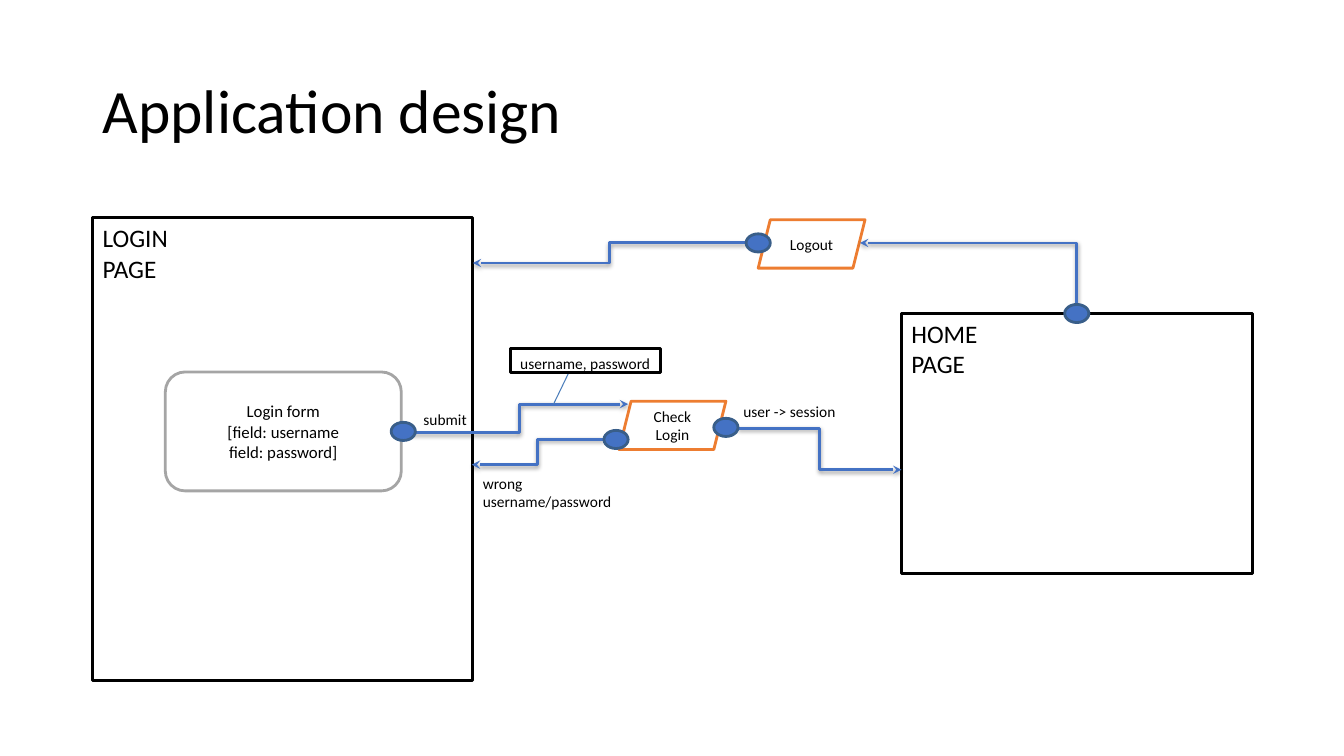
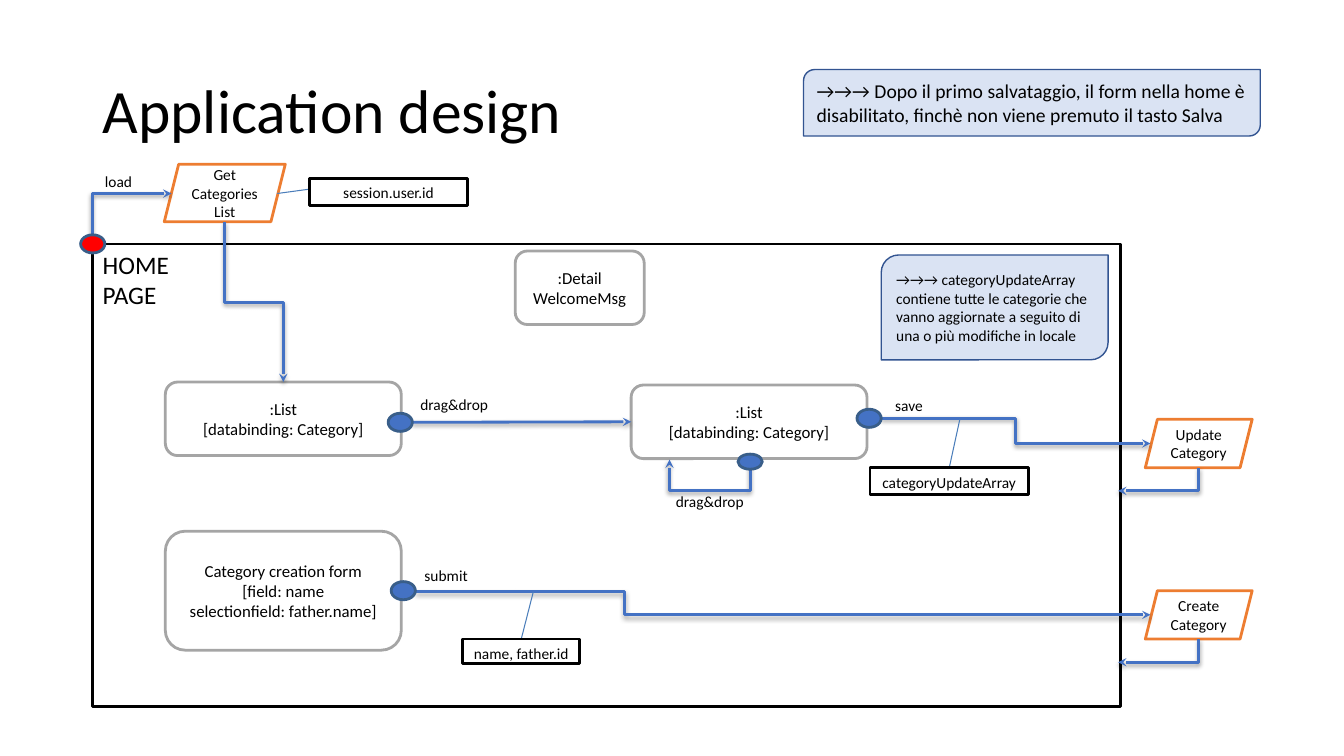
from dataclasses import dataclass

from lxml import etree
from pptx import Presentation
from pptx.dml.color import RGBColor
from pptx.enum.shapes import MSO_CONNECTOR, MSO_SHAPE
from pptx.enum.text import MSO_ANCHOR, PP_ALIGN
from pptx.oxml.ns import qn
from pptx.util import Inches, Pt

RECTANGLE = MSO_SHAPE.RECTANGLE
ROUNDED = MSO_SHAPE.ROUNDED_RECTANGLE
PARALLELOGRAM = MSO_SHAPE.PARALLELOGRAM
DIAGONAL = MSO_SHAPE.ROUND_2_DIAG_RECTANGLE
ELLIPSE = MSO_SHAPE.OVAL
STRAIGHT = MSO_CONNECTOR.STRAIGHT
ELBOW = MSO_CONNECTOR.ELBOW
TOP = MSO_ANCHOR.TOP
MIDDLE = MSO_ANCHOR.MIDDLE
LEFT = PP_ALIGN.LEFT
CENTER = PP_ALIGN.CENTER
TOP_SIDE = 0
LEFT_SIDE = 1


@dataclass(frozen=True)
class Theme:
    font: str = "Calibri"
    ink: str = "000000"
    paper: str = "FFFFFF"
    flow: str = "4472C4"
    dot_line: str = "395E89"
    start: str = "FF0000"
    component: str = "A5A5A5"
    action: str = "ED7D31"
    leader: str = "4A7DBA"
    remark: str = "DAE3F3"
    remark_line: str = "325491"
    title_size: float = 44
    page_size: float = 18
    remark_size: float = 14
    component_size: float = 12
    label_size: float = 11
    stroke: float = 2
    remark_stroke: float = 1
    leader_stroke: float = 0.75


def lengths(values):
    return [Inches(value) for value in values]


class Diagram:
    def __init__(self, theme):
        self.theme = theme
        self.deck = Presentation()
        self.deck.slide_width, self.deck.slide_height = lengths((13.33, 7.5))
        self.page = None

    def new_page(self, title):
        self.page = self.deck.slides.add_slide(self.deck.slide_layouts[6])
        box = self.text([title], (0.92, 0.4, 11.5, 1.45), LEFT,
                        self.theme.title_size, MIDDLE)
        box.text_frame.paragraphs[0].line_spacing = 0.9

    def add_lines(self, box, lines, size, align, anchor):
        frame = box.text_frame
        frame.word_wrap = True
        frame.vertical_anchor = anchor
        for index, line in enumerate(lines):
            para = frame.add_paragraph() if index else frame.paragraphs[0]
            para.alignment = align
            span = para.add_run()
            span.text = line
            span.font.name = self.theme.font
            span.font.size = Pt(size)
            span.font.color.rgb = RGBColor.from_string(self.theme.ink)

    def text(self, lines, at, align=CENTER, size=None, anchor=TOP):
        box = self.page.shapes.add_textbox(*lengths(at))
        self.add_lines(box, lines, size or self.theme.label_size, align, anchor)
        return box

    def stroke(self, item, color, width):
        item.line.color.rgb = RGBColor.from_string(color)
        item.line.width = Pt(width)

    def shape(self, kind, at, fill, line, width=None):
        box = self.page.shapes.add_shape(kind, *lengths(at))
        box.shadow.inherit = False
        box.fill.solid()
        box.fill.fore_color.rgb = RGBColor.from_string(fill)
        self.stroke(box, line, width or self.theme.stroke)
        return box

    def screen(self, name, at):
        box = self.shape(RECTANGLE, at, self.theme.paper, self.theme.ink)
        self.add_lines(box, [name, "PAGE"], self.theme.page_size, LEFT, TOP)

    def component(self, lines, at):
        box = self.shape(ROUNDED, at, self.theme.paper, self.theme.component)
        self.add_lines(box, lines, self.theme.component_size, CENTER, MIDDLE)
        return box

    def action(self, name, left, top, width=1.06, height=0.48):
        box = self.shape(PARALLELOGRAM, (left, top, width, height),
                         self.theme.paper, self.theme.action)
        self.add_lines(box, [name], self.theme.label_size, CENTER, MIDDLE)

    def remark(self, message, at, size):
        box = self.shape(DIAGONAL, at, self.theme.remark,
                         self.theme.remark_line, self.theme.remark_stroke)
        self.add_lines(box, [message], size, LEFT, MIDDLE)

    def dot(self, center_x, center_y, fill=None, height=0.18):
        width = 0.24
        at = (center_x - width / 2, center_y - height / 2, width, height)
        self.shape(ELLIPSE, at, fill or self.theme.flow, self.theme.dot_line)

    def connector(self, kind, begin, end, color, width):
        line = self.page.shapes.add_connector(kind, *lengths(begin + end))
        self.stroke(line, color, width)
        return line

    def parameter(self, name, at, begin, end=None):
        left, top, width, _ = at
        line = self.connector(STRAIGHT, begin, end or (left + width / 2, top),
                              self.theme.leader, self.theme.leader_stroke)
        etree.SubElement(line.element.spPr, qn("a:effectLst"))
        box = self.shape(RECTANGLE, at, self.theme.paper, self.theme.ink)
        self.add_lines(box, [name], self.theme.label_size, CENTER, TOP)
        if end is None:
            line.end_connect(box, TOP_SIDE)

    def finish_flow(self, line):
        properties = line.element.spPr
        etree.SubElement(properties.find(qn("a:ln")), qn("a:tailEnd"),
                         type="stealth")
        effects = etree.SubElement(properties, qn("a:effectLst"))
        shadow = etree.SubElement(effects, qn("a:outerShdw"), blurRad="40000",
                                  dist="20000", dir="5400000", rotWithShape="0")
        color = etree.SubElement(shadow, qn("a:srgbClr"), val=self.theme.ink)
        etree.SubElement(color, qn("a:alpha"), val="38000")

    def flow(self, begin, end, kind=ELBOW, bend=0.5):
        line = self.connector(kind, begin, end, self.theme.flow,
                              self.theme.stroke)
        if bend != 0.5:
            geometry = line.element.spPr.find(qn("a:prstGeom"))
            guides = geometry.find(qn("a:avLst"))
            if guides is None:
                guides = etree.SubElement(geometry, qn("a:avLst"))
            etree.SubElement(guides, qn("a:gd"), name="adj1",
                             fmla=f"val {round(bend * 100000)}")
        self.finish_flow(line)
        return line

    def routed_flow(self, *points):
        first, *others = [tuple(lengths(point)) for point in points]
        builder = self.page.shapes.build_freeform(*first)
        builder.add_line_segments(others, close=False)
        line = builder.convert_to_shape()
        line.fill.background()
        self.stroke(line, self.theme.flow, self.theme.stroke)
        self.finish_flow(line)


def login_page(diagram):
    diagram.new_page("Application design")
    diagram.screen("LOGIN", (0.92, 2.16, 3.77, 4.59))
    diagram.screen("HOME", (8.94, 3.11, 3.48, 2.58))
    diagram.component(["Login form", "[field: username", "field: password]"],
                      (1.64, 3.69, 2.34, 1.18))
    diagram.action("Check Login", 6.14, 3.98)
    diagram.action("Logout", 7.52, 2.18)

    diagram.flow((4.08, 4.29), (6.23, 4.01))
    diagram.flow((7.32, 4.25), (8.94, 4.66))
    diagram.flow((5.99, 4.36), (4.68, 4.61))
    diagram.flow((7.4, 2.41), (4.69, 2.61))
    diagram.routed_flow((10.68, 3.02), (10.68, 2.41), (8.53, 2.41))
    for center in ((4, 4.28), (7.2, 4.24), (6.11, 4.36), (10.68, 3.11),
                   (7.52, 2.41)):
        diagram.dot(*center)

    diagram.parameter("username, password", (5.06, 3.46, 1.49, 0.24),
                      (5.64, 3.7), (5.49, 4.01))
    diagram.text(["submit"], (3.96, 4.02, 0.91, 0.3))
    diagram.text(["user -> session"], (7.17, 3.94, 1.32, 0.3))
    diagram.text(["wrong username/password"], (4.69, 4.65, 1.71, 0.43), LEFT)


def home_page(diagram):
    theme = diagram.theme
    diagram.new_page("Application design")
    diagram.screen("HOME", (0.92, 2.42, 10.19, 4.59))
    diagram.component(["Category creation form", "[field: name",
                       "selectionfield: father.name]"],
                      (1.64, 5.27, 2.34, 1.18))
    diagram.component([":Detail", "WelcomeMsg"], (5.11, 2.49, 1.28, 0.73))
    category_list = [":List", "[databinding: Category]"]
    diagram.component(category_list, (1.64, 3.79, 2.34, 0.73))
    target = diagram.component(category_list, (6.26, 3.82, 2.34, 0.73))
    diagram.action("Get Categories List", 1.63, 1.63, 1.2, 0.57)
    for name, top in (("Update Category", 4.16), ("Create Category", 5.86)):
        diagram.action(name, 11.36, top)
        bottom, back = top + 0.48, top + 0.71
        diagram.routed_flow((11.89, bottom), (11.89, back), (11.09, back))

    diagram.flow((4.12, 5.87), (11.41, 6.1), bend=0.285)
    diagram.flow((8.74, 4.15), (11.41, 4.4))
    drag = diagram.flow((4.09, 4.19), (6.26, 4.19), STRAIGHT)
    drag.end_connect(target, LEFT_SIDE)
    diagram.routed_flow((0.92, 2.33), (0.92, 1.92), (1.7, 1.92))
    diagram.routed_flow((2.23, 2.2), (2.23, 3), (2.81, 3), (2.81, 3.79))
    diagram.routed_flow((7.44, 4.62), (7.44, 4.87), (6.64, 4.87), (6.64, 4.56))
    for center in ((4, 5.86), (3.97, 4.19), (8.62, 4.15)):
        diagram.dot(*center)
    diagram.dot(7.44, 4.58, height=0.15)
    diagram.dot(0.92, 2.42, theme.start)

    diagram.parameter("name, father.id", (4.59, 6.34, 1.16, 0.24), (5.29, 5.87))
    diagram.parameter("categoryUpdateArray", (8.63, 4.64, 1.57, 0.27),
                      (9.52, 4.16))
    diagram.parameter("session.user.id", (3.07, 1.77, 1.57, 0.27), (2.75, 1.92))
    for label, left, top in (("submit", 3.97, 5.57), ("load", 0.72, 1.66),
                             ("save", 8.56, 3.88), ("drag&drop", 4.05, 3.87)):
        diagram.text([label], (left, top, 0.91, 0.3))
    diagram.text(["drag&drop"], (6.49, 4.83, 1.1, 0.24))

    diagram.remark("→→→ Dopo il primo salvataggio, il form nella home è "
                   "disabilitato, finchè non viene premuto il tasto Salva",
                   (7.97, 0.69, 4.53, 0.66), theme.remark_size)
    diagram.remark("→→→ categoryUpdateArray contiene tutte le categorie che "
                   "vanno aggiornate a seguito di una o più modifiche in locale",
                   (8.74, 2.53, 2.25, 1.04), theme.label_size)


def main():
    diagram = Diagram(Theme())
    login_page(diagram)
    home_page(diagram)
    diagram.deck.save("out.pptx")


if __name__ == "__main__":
    main()
